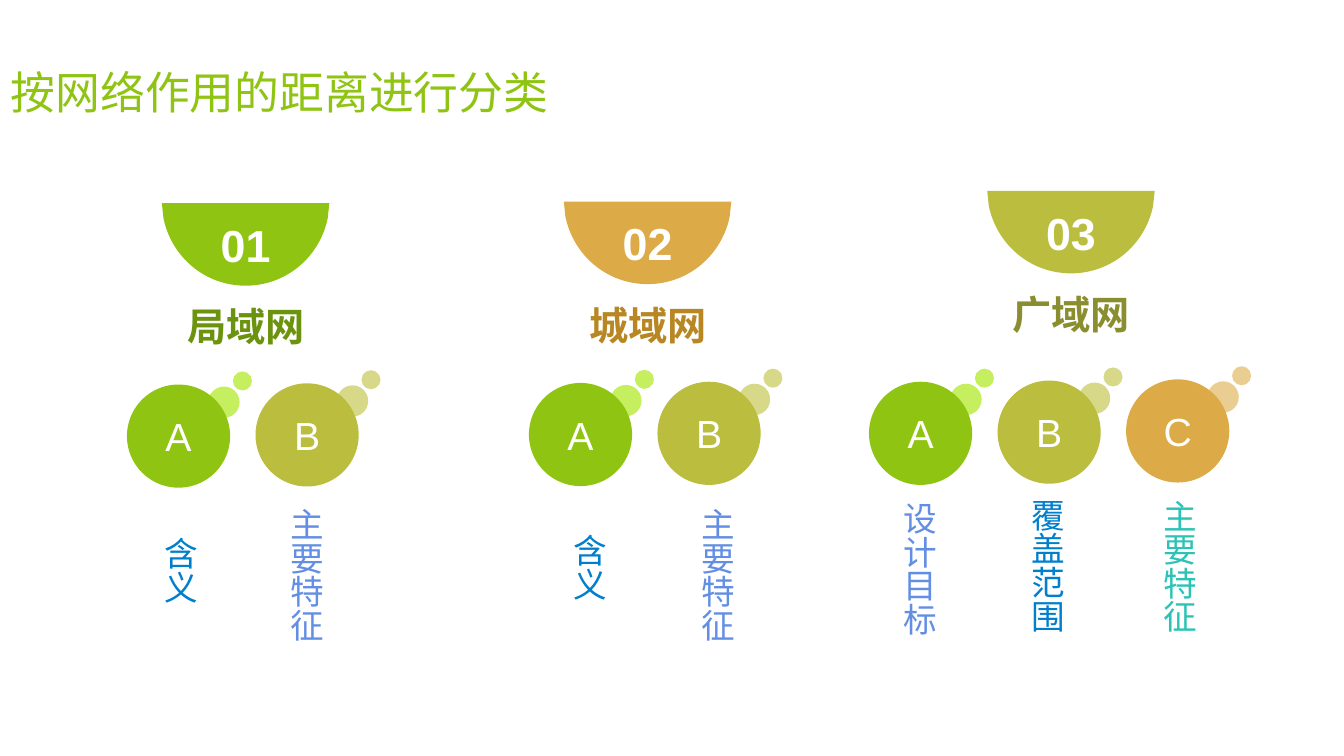
"""Build a slide that sorts networks by the distance they cover."""
from dataclasses import dataclass

from lxml import etree
from pptx import Presentation
from pptx.dml.color import RGBColor
from pptx.enum.shapes import MSO_SHAPE
from pptx.enum.text import MSO_ANCHOR, PP_ALIGN
from pptx.oxml.ns import qn
from pptx.util import Cm, Pt

OVAL = MSO_SHAPE.OVAL
MIDDLE, BOTTOM = MSO_ANCHOR.MIDDLE, MSO_ANCHOR.BOTTOM
LEFT, CENTER = PP_ALIGN.LEFT, PP_ALIGN.CENTER


@dataclass(frozen=True)
class Theme:
    """Colours, fonts and type sizes of the slide."""
    white: str = "FFFFFF"
    green: str = "90C413"
    olive: str = "BABD3D"
    amber: str = "DCAB48"
    pale_green: str = "C5EF5E"
    pale_olive: str = "D7D989"
    pale_amber: str = "EACD91"
    dark_green: str = "6C930E"
    dark_olive: str = "8B8E2E"
    dark_amber: str = "B88723"
    blue: str = "007FCD"
    periwinkle: str = "628EE3"
    teal: str = "2BC3B5"
    title_font: str = "Montserrat"
    body_font: str = "Arial"
    title_size: int = 32
    number_size: int = 32
    name_size: int = 28
    letter_size: int = 28
    caption_size: int = 24


THEME = Theme()

BOWL_WIDTH, BOWL_HEIGHT = 4.22, 2.08
BOWL_CORNERS = ((4.22, 0), (4.18, 0.38), (2.11, 2.08), (0.04, 0.38))
BOWL_CURVES = (
    ((3.98, 1.35), (3.14, 2.08), (2.11, 2.08)),
    ((1.08, 2.08), (0.24, 1.35), (0.04, 0.38)),
)
BADGE_SIZE, BADGE_PITCH, BADGE_RISE = 2.6, 3.24, 0.03
BUBBLES = ((2.05, 0.05, 0.79), (2.67, -0.33, 0.48))
BADGES = (
    ("A", THEME.green, THEME.pale_green),
    ("B", THEME.olive, THEME.pale_olive),
    ("C", THEME.amber, THEME.pale_amber),
)

NETWORKS = (
    ("01", "局域网", THEME.green, THEME.dark_green, (4.08, 5.12), (3.2, 9.69), (
        ("含义", THEME.blue, (3.07, 13.28, 3.12, 3.05)),
        ("主要特征", THEME.periwinkle, (6.48, 12.55, 2.67, 4.34)),
    )),
    ("02", "城域网", THEME.amber, THEME.dark_amber, (14.21, 5.08), (13.33, 9.65), (
        ("含义", THEME.blue, (13.72, 13.21, 2.44, 2.92)),
        ("主要特征", THEME.periwinkle, (16.84, 12.55, 2.67, 4.34)),
    )),
    ("03", "广域网", THEME.olive, THEME.dark_olive, (24.88, 4.81), (21.9, 9.62), (
        ("设计目标", THEME.periwinkle, (21.92, 12.4, 2.67, 4.34)),
        ("覆盖范围", THEME.blue, (24.92, 12.32, 3.12, 4.19)),
        ("主要特征", THEME.teal, (28.52, 12.34, 2.59, 3.94)),
    )),
)


def paint(shape, color):
    """Give a shape a flat fill without line or shadow."""
    shape.shadow.inherit = False
    shape.fill.solid()
    shape.fill.fore_color.rgb = RGBColor.from_string(color)
    shape.line.fill.background()


def write(shape, text, size, color, font=THEME.body_font, bold=False,
          align=CENTER, anchor=MIDDLE, spacing=1.0):
    """Set the single paragraph of a shape."""
    frame = shape.text_frame
    frame.word_wrap = True
    frame.vertical_anchor = anchor
    paragraph = frame.paragraphs[0]
    paragraph.text = text
    paragraph.alignment = align
    paragraph.line_spacing = spacing
    paragraph.font.name = font
    paragraph.font.size = Pt(size)
    paragraph.font.bold = bold
    paragraph.font.color.rgb = RGBColor.from_string(color)


def add_text(slide, box, text, size, color, **style):
    """Add a text box and return it."""
    text_box = slide.shapes.add_textbox(*map(Cm, box))
    write(text_box, text, size, color, **style)
    return text_box


def add_circle(slide, left, top, size, color):
    """Add a filled circle and return it."""
    circle = slide.shapes.add_shape(OVAL, Cm(left), Cm(top), Cm(size), Cm(size))
    paint(circle, color)
    return circle


def bend(segment, points):
    """Turn a straight outline segment into a cubic curve."""
    curve = etree.Element(qn("a:cubicBezTo"))
    for x, y in points:
        etree.SubElement(curve, qn("a:pt"), x=str(Cm(x)), y=str(Cm(y)))
    segment.getparent().replace(segment, curve)


def add_bowl(slide, left, top, number, color):
    """Add a numbered half disc with its flat side up."""
    outline = slide.shapes.build_freeform(Cm(left), Cm(top))
    outline.add_line_segments(
        [(Cm(left + x), Cm(top + y)) for x, y in BOWL_CORNERS], close=True)
    bowl = outline.convert_to_shape()
    segments = list(bowl.element.iter(qn("a:lnTo")))
    for segment, points in zip(segments[2:4], BOWL_CURVES):
        bend(segment, points)
    paint(bowl, color)
    write(bowl, number, THEME.number_size, THEME.white, bold=True)


def add_badge(slide, left, top, letter, color, pale):
    """Add a lettered circle with two bubbles behind it."""
    for across, down, size in BUBBLES:
        add_circle(slide, left + across, top + down, size, pale)
    badge = add_circle(slide, left, top, BADGE_SIZE, color)
    write(badge, letter, THEME.letter_size, THEME.white)
    frame = badge.text_frame
    frame.margin_left = frame.margin_right = Cm(0)
    frame.margin_top = frame.margin_bottom = Cm(0)


def add_caption(slide, box, text, color):
    """Add a caption that reads from top to bottom."""
    caption = add_text(slide, box, text, THEME.caption_size, color,
                       align=LEFT, spacing=1.2)
    caption.element.txBody.bodyPr.set("vert", "eaVert")


def add_network(slide, number, name, color, dark, bowl_at, badges_at, captions):
    """Add one network class with its bowl, name, badges and captions."""
    left, top = bowl_at
    add_bowl(slide, left, top, number, color)
    add_text(slide, (left - 0.87, top + BOWL_HEIGHT, 5.97, 2.03), name,
             THEME.name_size, dark, bold=True)
    left, top = badges_at
    for index, (badge, caption) in enumerate(zip(BADGES, captions)):
        add_badge(slide, left + index * BADGE_PITCH, top - index * BADGE_RISE, *badge)
        text, caption_color, box = caption
        add_caption(slide, box, text, caption_color)


def main():
    """Build and save the slide."""
    presentation = Presentation()
    presentation.slide_width, presentation.slide_height = Cm(33.87), Cm(19.05)
    slide = presentation.slides.add_slide(presentation.slide_layouts[6])
    add_text(slide, (0.02, 1.17, 30.71, 1.96), "按网络作用的距离进行分类",
             THEME.title_size, THEME.green, font=THEME.title_font,
             align=LEFT, anchor=BOTTOM, spacing=0.9)
    for network in NETWORKS:
        add_network(slide, *network)
    presentation.save("out.pptx")


if __name__ == "__main__":
    main()
